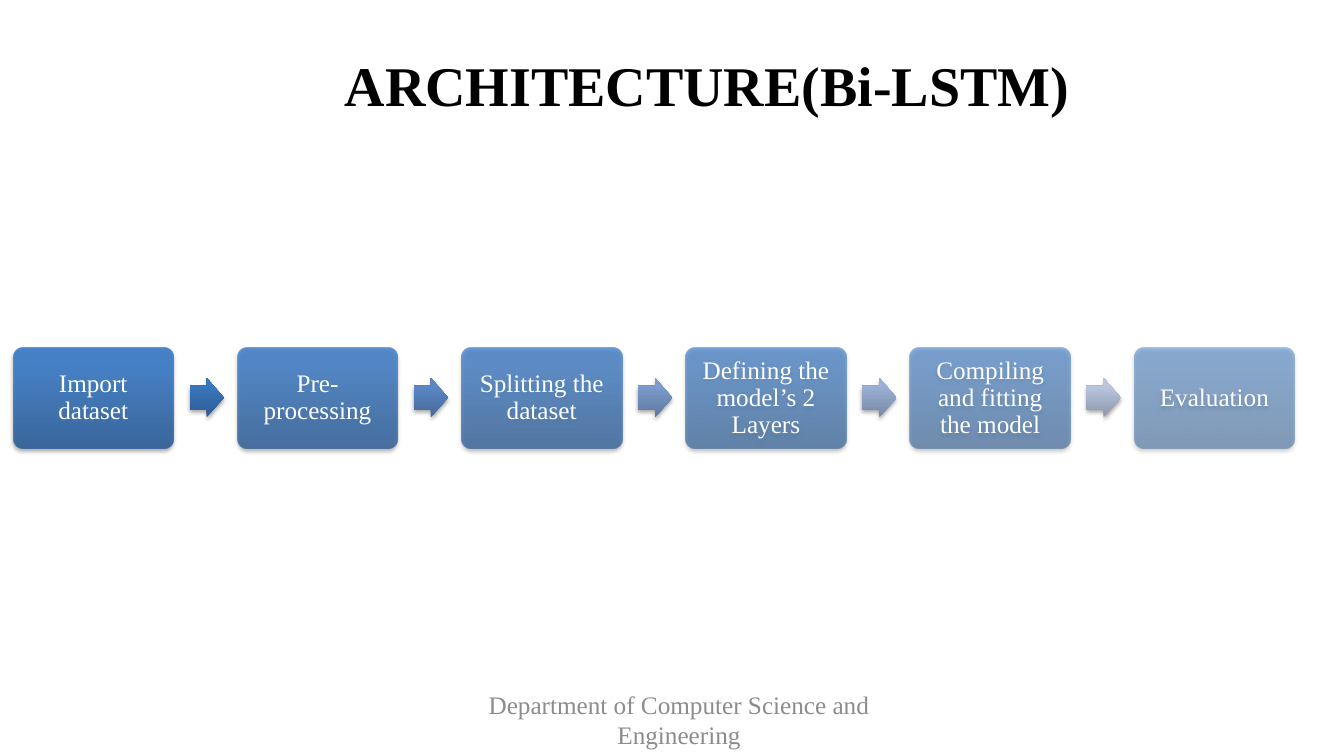
from dataclasses import dataclass

from pptx import Presentation
from pptx.dml.color import RGBColor
from pptx.enum.shapes import MSO_SHAPE as Preset
from pptx.enum.text import MSO_ANCHOR as Anchor, PP_ALIGN as Align
from pptx.oxml import parse_xml
from pptx.oxml.ns import nsdecls, qn
from pptx.util import Inches, Pt

FONT = "Times New Roman"
COLORS = {"title": "000000", "footer": "8C8C8C", "label": "FFFFFF", "shadow": "000000"}
STEP_SHADES = ("2F5F99", "3D7CC7", "3A7CCB")
STEP_LEFT, STEP_TOP, STEP_WIDTH, STEP_HEIGHT = 0.13, 3.45, 1.59, 1
ARROW_OFFSET, ARROW_TOP, ARROW_WIDTH, ARROW_HEIGHT = 1.75, 3.75, 0.34, 0.39
LAST_STEP_LEFT = 11.25


@dataclass
class Step:
    label: str
    arrow_shades: tuple[str, ...] = ()


@dataclass
class Caption:
    text: str
    frame: tuple[float, float, float, float]
    size: int
    color: str
    align: Align
    bold: bool = False


STEPS = [
    Step("Import dataset", ("2D5B92", "3A76BE", "3876C2")),
    Step("Pre-processing", ("466998", "5B88C5", "5989C8")),
    Step("Splitting the dataset", ("5E789E", "7B9CCD", "7A9CCF")),
    Step("Defining the model’s 2 Layers", ("7688A4", "9AB0D5", "99B1D8")),
    Step("Compiling and fitting the model", ("8E98AC", "B8C6DF", "B8C6E1")),
    Step("Evaluation"),
]
CAPTIONS = [
    Caption("ARCHITECTURE(Bi-LSTM)", (3.42, 0.5, 8.92, 0.67), 40, "title", Align.LEFT, True),
    Caption("Department of Computer Science and Engineering",
            (4.6, 6.84, 4.27, 0.61), 18, "footer", Align.CENTER),
]


def write_text(shape, text: str, size: int, color: str, align: Align,
               margin: float = 0, bold: bool = False) -> None:
    frame = shape.text_frame
    frame.word_wrap = True
    frame.margin_left = frame.margin_right = Inches(margin)
    frame.margin_top = frame.margin_bottom = Inches(margin)
    frame.text = text
    para = frame.paragraphs[0]
    para.alignment = align
    font = para.runs[0].font
    font.name, font.size, font.bold = FONT, Pt(size), bold
    font.color.rgb = RGBColor.from_string(COLORS[color])


def add_caption(page, caption: Caption) -> None:
    box = page.shapes.add_textbox(*map(Inches, caption.frame))
    write_text(box, caption.text, caption.size, caption.color, caption.align, bold=caption.bold)


def add_shaded_shape(page, preset: Preset, frame: tuple[float, ...],
                     shades: tuple[str, ...], opacity: int = 100):
    shape = page.shapes.add_shape(preset, *map(Inches, frame))
    shape.line.fill.background()
    shape.fill.background()
    shape.shadow.inherit = False
    stops = "".join(
        f'<a:gs pos="{position * 1000}"><a:srgbClr val="{shade}">'
        f'<a:alpha val="{opacity * 1000}"/></a:srgbClr></a:gs>'
        for position, shade in zip((0, 80, 100), shades))
    properties = shape.element.spPr
    properties.replace(properties.find(qn("a:noFill")), parse_xml(
        f'<a:gradFill {nsdecls("a")} rotWithShape="1"><a:gsLst>{stops}</a:gsLst>'
        '<a:lin ang="16200000" scaled="0"/></a:gradFill>'))
    properties.find(qn("a:effectLst")).append(parse_xml(
        f'<a:outerShdw {nsdecls("a")} blurRad="{Pt(3.1)}" dist="{Pt(1.8)}" dir="5400000" '
        f'rotWithShape="0"><a:srgbClr val="{COLORS["shadow"]}"><a:alpha val="35000"/>'
        '</a:srgbClr></a:outerShdw>'))
    return shape


def add_step(page, step: Step, left: float, opacity: int) -> None:
    box = add_shaded_shape(page, Preset.ROUNDED_RECTANGLE,
                           (left, STEP_TOP, STEP_WIDTH, STEP_HEIGHT), STEP_SHADES, opacity)
    box.adjustments[0] = 0.1
    write_text(box, step.label, 18, "label", Align.CENTER, margin=0.07)
    box.text_frame.vertical_anchor = Anchor.MIDDLE
    box.text_frame.paragraphs[0].line_spacing = 0.9
    if step.arrow_shades:
        arrow = add_shaded_shape(page, Preset.RIGHT_ARROW,
                                 (left + ARROW_OFFSET, ARROW_TOP, ARROW_WIDTH, ARROW_HEIGHT),
                                 step.arrow_shades)
        arrow.adjustments[0] = 0.6
        arrow.adjustments[1] = 0.5


deck = Presentation()
deck.slide_width, deck.slide_height = Inches(13.33), Inches(7.5)
page = deck.slides.add_slide(deck.slide_layouts[6])
for caption in CAPTIONS:
    add_caption(page, caption)
pitch = (LAST_STEP_LEFT - STEP_LEFT) / (len(STEPS) - 1)
for index, step in enumerate(STEPS):
    add_step(page, step, STEP_LEFT + index * pitch, 90 - 8 * index)
deck.save("out.pptx")
